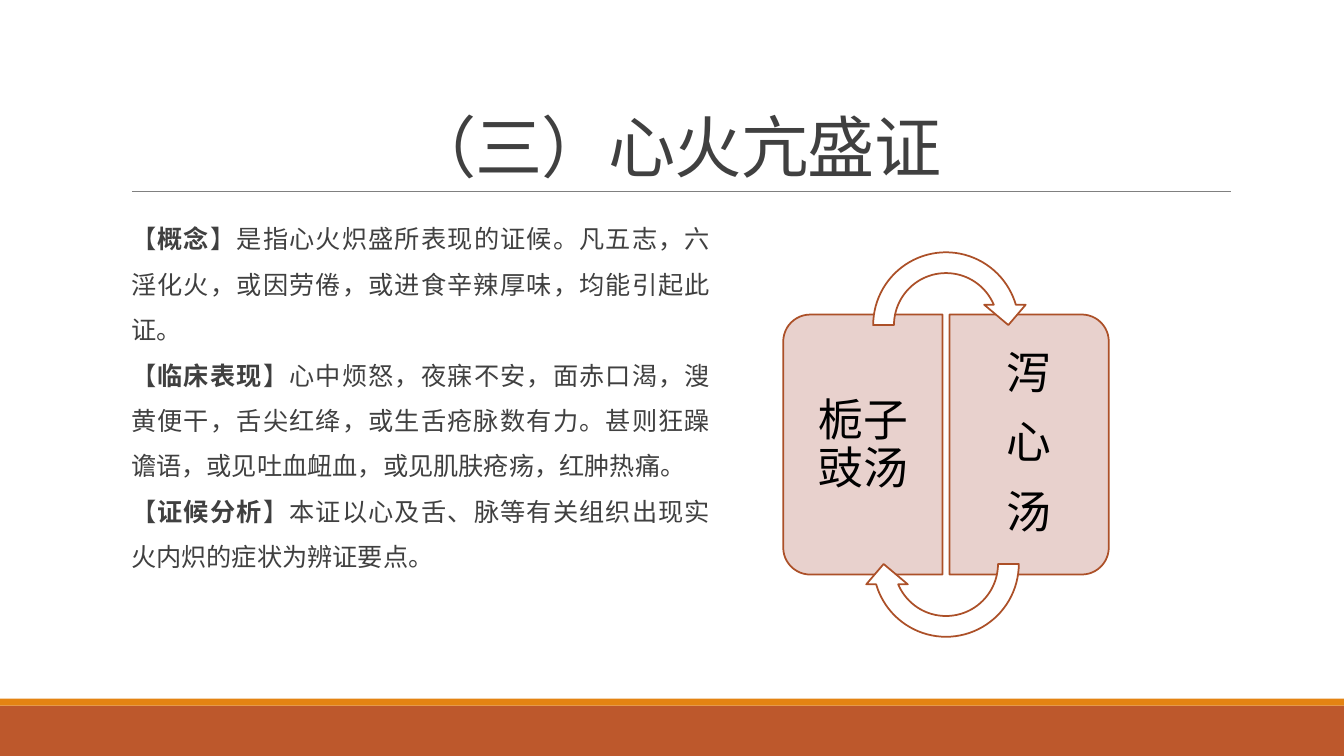
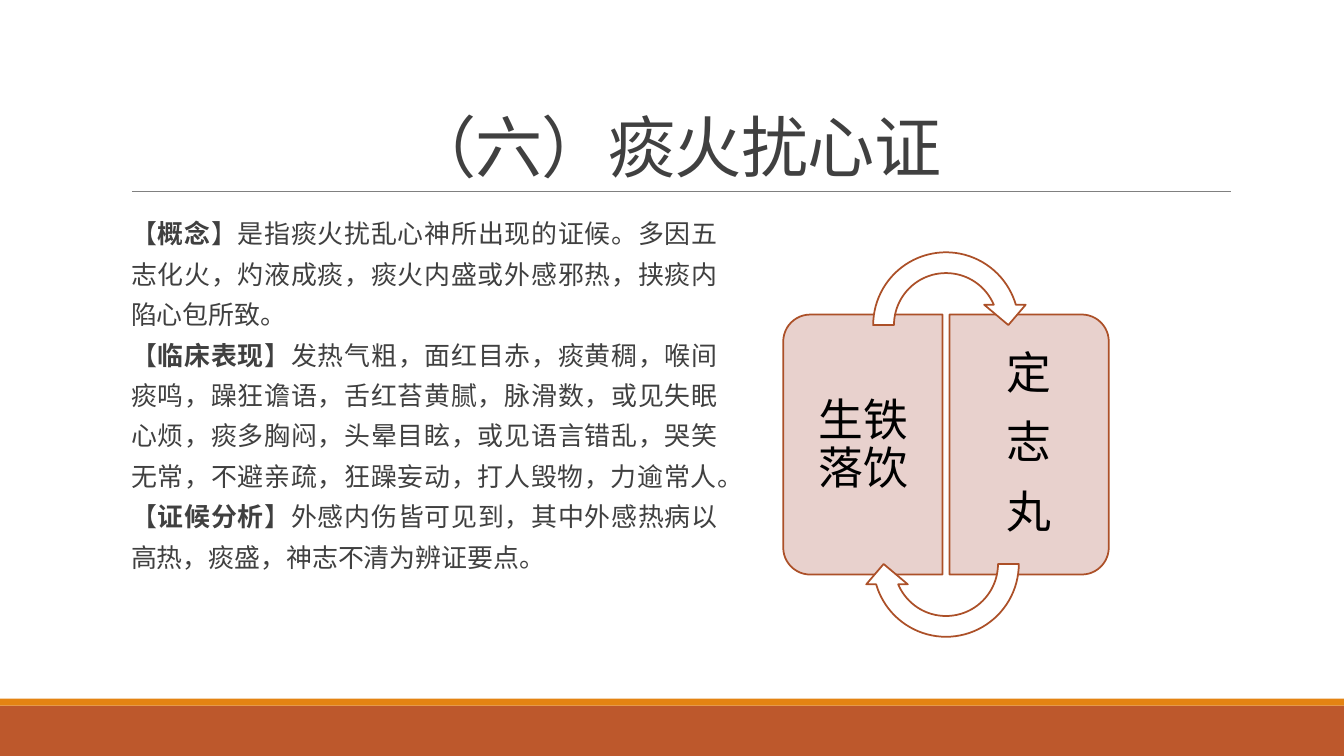
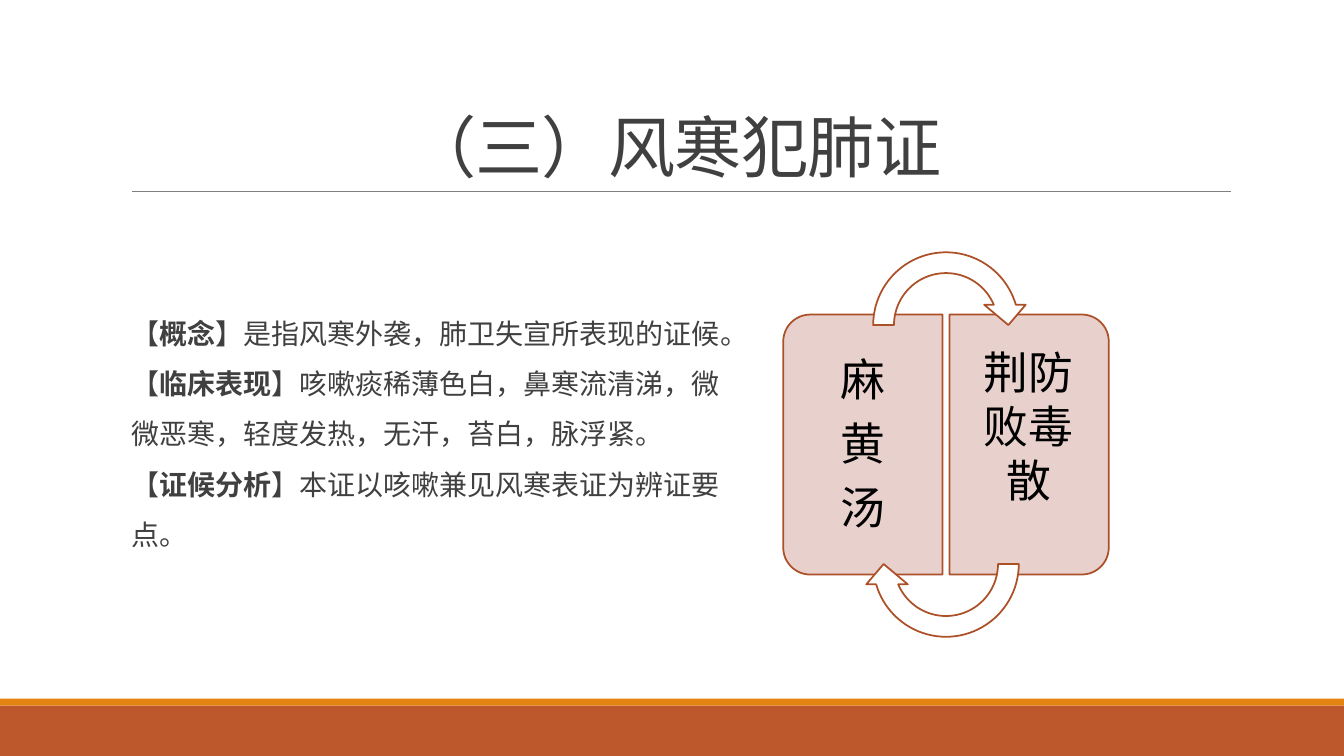
from dataclasses import dataclass
from lxml.etree import SubElement
from pptx import Presentation
from pptx.dml.color import RGBColor
from pptx.enum.shapes import MSO_CONNECTOR, MSO_SHAPE
from pptx.enum.text import MSO_ANCHOR, MSO_AUTO_SIZE, PP_ALIGN
from pptx.oxml.ns import qn
from pptx.util import Pt

SANS = "Noto Sans CJK SC"
BODY = "Calibri"
INK = "404040"
BLACK = "000000"
WHITE = "FFFFFF"
RUST = "BD582C"
AMBER = "E48312"
GREY = "808080"
PINK = "E8D1CD"
EDGE = "AC5028"
LEAD = 1.2


@dataclass(frozen=True)
class Box:
    """A rectangle in points."""
    left: float
    top: float
    width: float
    height: float

    def place(self) -> tuple:
        """Return the four lengths."""
        return Pt(self.left), Pt(self.top), Pt(self.width), Pt(self.height)


@dataclass(frozen=True)
class Panel:
    """One half of the formula diagram."""
    shape: Box
    label: Box
    turn: int
    inset: tuple
    anchor: MSO_ANCHOR
    pitch: float


@dataclass(frozen=True)
class Arrow:
    """A curved arrow with its turn."""
    box: Box
    turn: int


@dataclass(frozen=True)
class Page:
    """The content of one slide."""
    title: str
    notes: tuple
    width: float
    size: float
    pitch: float
    align: PP_ALIGN
    anchor: MSO_ANCHOR
    cures: tuple


BANDS = ((Box(0, 504, 960, 36), RUST), (Box(0, 499, 960, 5), AMBER))
HEAD = Box(86.4, 22.3, 792, 114.5)
PANELS = (
    Panel(Box(523.44, 260.64, 185.76, 113.76), Box(565.2, 230.4, 108, 175),
          270, (9.36, 15.84, 14.4, 15.84), MSO_ANCHOR.MIDDLE, 0.9),
    Panel(Box(642.24, 260.64, 185.76, 113.76), Box(678.24, 230.4, 108, 175),
          90, (14.4, 15.84, 9.36, 15.84), MSO_ANCHOR.TOP, 1),
)
ARROWS = (Arrow(Box(616.32, 172.8, 118.8, 118.8), 0),
          Arrow(Box(616.32, 343.44, 118.8, 118.8), 180))
BEND = (0.125, 11.42, 204.58, 108, 0.125)

PAGES = (
    Page("（三）心火亢盛证", (
        "【概念】是指心火炽盛所表现的证候。凡五志，六淫化火，或因劳倦，或进食辛辣厚味，均能引起此证。",
        "【临床表现】心中烦怒，夜寐不安，面赤口渴，溲黄便干，舌尖红绛，或生舌疮脉数有力。"
        "甚则狂躁谵语，或见吐血衄血，或见肌肤疮疡，红肿热痛。",
        "【证候分析】本证以心及舌、脉等有关组织出现实火内炽的症状为辨证要点。",
    ), 421.2, 18, 1.5, PP_ALIGN.JUSTIFY, MSO_ANCHOR.TOP,
        (("栀子豉汤",), ("泻", "心", "汤"))),
    Page("（六）痰火扰心证", (
        "【概念】是指痰火扰乱心神所出现的证候。多因五志化火，灼液成痰，痰火内盛或外感邪热，挟痰内陷心包所致。",
        "【临床表现】发热气粗，面红目赤，痰黄稠，喉间痰鸣，躁狂谵语，舌红苔黄腻，脉滑数，或见失眠心烦，"
        "痰多胸闷，头晕目眩，或见语言错乱，哭笑无常，不避亲疏，狂躁妄动，打人毁物，力逾常人。",
        "【证候分析】外感内伤皆可见到，其中外感热病以高热，痰盛，神志不清为辨证要点。",
    ), 426.24, 18.5, 1.3, PP_ALIGN.JUSTIFY, MSO_ANCHOR.TOP,
        (("生铁落饮",), ("定", "志", "丸"))),
    Page("（三）风寒犯肺证", (
        "【概念】是指风寒外袭，肺卫失宣所表现的证候。",
        "【临床表现】咳嗽痰稀薄色白，鼻寒流清涕，微微恶寒，轻度发热，无汗，苔白，脉浮紧。",
        "【证候分析】本证以咳嗽兼见风寒表证为辨证要点。",
    ), 437.76, 20, 1.5, PP_ALIGN.LEFT, MSO_ANCHOR.MIDDLE,
        (("麻", "黄", "汤"), ("荆防败毒散",))),
)


def tint(code: str) -> RGBColor:
    """Turn a hex string into a colour."""
    return RGBColor.from_string(code)


def move(shape, box: Box) -> None:
    """Put a shape at a box."""
    shape.left, shape.top, shape.width, shape.height = box.place()


def frame(shape, inset: tuple, anchor: MSO_ANCHOR):
    """Set up and return the text frame of a shape."""
    text = shape.text_frame
    text.word_wrap = True
    text.auto_size = MSO_AUTO_SIZE.NONE
    text.vertical_anchor = anchor
    (text.margin_left, text.margin_top,
     text.margin_right, text.margin_bottom) = map(Pt, inset)
    return text


def style(para, font: str, size: float, code: str, pitch: float,
          align: PP_ALIGN, after: float = 0) -> None:
    """Format a paragraph and its runs."""
    para.alignment = align
    para.line_spacing = Pt(round(size * LEAD * pitch, 2))
    para.space_before = Pt(0)
    para.space_after = Pt(after)
    for run in para.runs:
        run.font.name = font
        run.font.size = Pt(size)
        run.font.color.rgb = tint(code)


def bullet(para) -> None:
    """Give a paragraph a hanging blank bullet."""
    props = para._p.get_or_add_pPr()
    props.set("marL", str(Pt(7.2)))
    props.set("indent", str(Pt(-7.2)))
    hue = SubElement(props, qn("a:buClr"))
    SubElement(hue, qn("a:srgbClr")).set("val", AMBER)
    SubElement(props, qn("a:buChar")).set("char", " ")


def draw(slide, kind: MSO_SHAPE, box: Box, fill: str, edge: str = "",
         turn: int = 0, bends: tuple = ()) -> None:
    """Draw a filled preset shape."""
    shape = slide.shapes.add_shape(kind, *box.place())
    shape.shadow.inherit = False
    shape.rotation = turn
    shape.fill.solid()
    shape.fill.fore_color.rgb = tint(fill)
    if edge:
        shape.line.color.rgb = tint(edge)
        shape.line.width = Pt(1.25)
    else:
        shape.line.fill.background()
    for spot, bend in enumerate(bends):
        shape.adjustments[spot] = bend


def base(slide) -> None:
    """Draw the bands and the title rule."""
    for box, fill in BANDS:
        draw(slide, MSO_SHAPE.RECTANGLE, box, fill)
    rule = slide.shapes.add_connector(
        MSO_CONNECTOR.STRAIGHT, Pt(94.3), Pt(136.8), Pt(879.1), Pt(136.8))
    rule.line.color.rgb = tint(GREY)
    rule.line.width = Pt(0.5)
    SubElement(rule._element.spPr, qn("a:effectLst"))


def head(slide, words: str) -> None:
    """Fill the title."""
    title = slide.shapes.title
    move(title, HEAD)
    text = frame(title, (7.2, 3.6, 7.2, 3.6), MSO_ANCHOR.BOTTOM)
    text.text = words
    para = text.paragraphs[0]
    style(para, SANS, 48, INK, 0.85, PP_ALIGN.CENTER)
    for run in para.runs:
        run._r.get_or_add_rPr().set("spc", "-50")


def notes(slide, page: Page) -> None:
    """Fill the list with bold labels."""
    body = slide.placeholders[1]
    move(body, Box(86.4, 145.44, page.width, 316.8))
    text = frame(body, (0, 3.6, 0, 3.6), page.anchor)
    for spot, note in enumerate(page.notes):
        para = text.add_paragraph() if spot else text.paragraphs[0]
        name, mark, rest = note[1:].partition("】")
        for part in (note[0], name, mark + rest):
            run = para.add_run()
            run.text = part
            run.font.bold = part == name
        style(para, BODY, page.size, INK, page.pitch, page.align)
        bullet(para)


def cure(slide, panel: Panel, lines: tuple) -> None:
    """Draw one panel with its formula name."""
    draw(slide, MSO_SHAPE.ROUND_2_SAME_RECTANGLE, panel.shape, PINK, EDGE,
         panel.turn, (0.17, 0))
    label = slide.shapes.add_textbox(*panel.label.place())
    text = frame(label, panel.inset, panel.anchor)
    text.text = "\n".join(lines)
    for para in text.paragraphs:
        style(para, SANS, 32, BLACK, panel.pitch, PP_ALIGN.CENTER, 11.2)


def build(deck, page: Page) -> None:
    """Add one slide."""
    slide = deck.slides.add_slide(deck.slide_layouts[1])
    base(slide)
    head(slide, page.title)
    notes(slide, page)
    for panel, lines in zip(PANELS, page.cures):
        cure(slide, panel, lines)
    for arrow in ARROWS:
        draw(slide, MSO_SHAPE.CIRCULAR_ARROW, arrow.box, WHITE, EDGE,
             arrow.turn, BEND)


def main() -> None:
    """Build and save the deck."""
    deck = Presentation()
    deck.slide_width, deck.slide_height = Pt(960), Pt(540)
    for page in PAGES:
        build(deck, page)
    deck.save("out.pptx")


if __name__ == "__main__":
    main()
